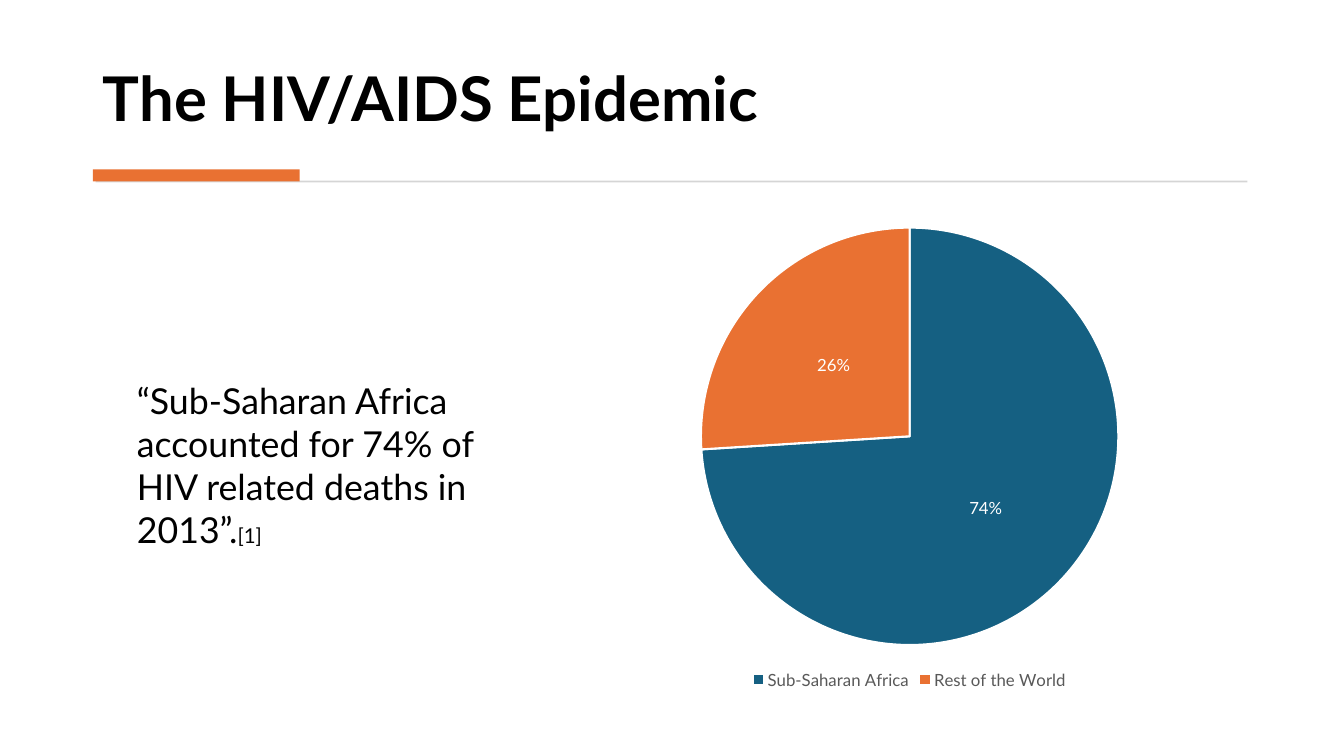
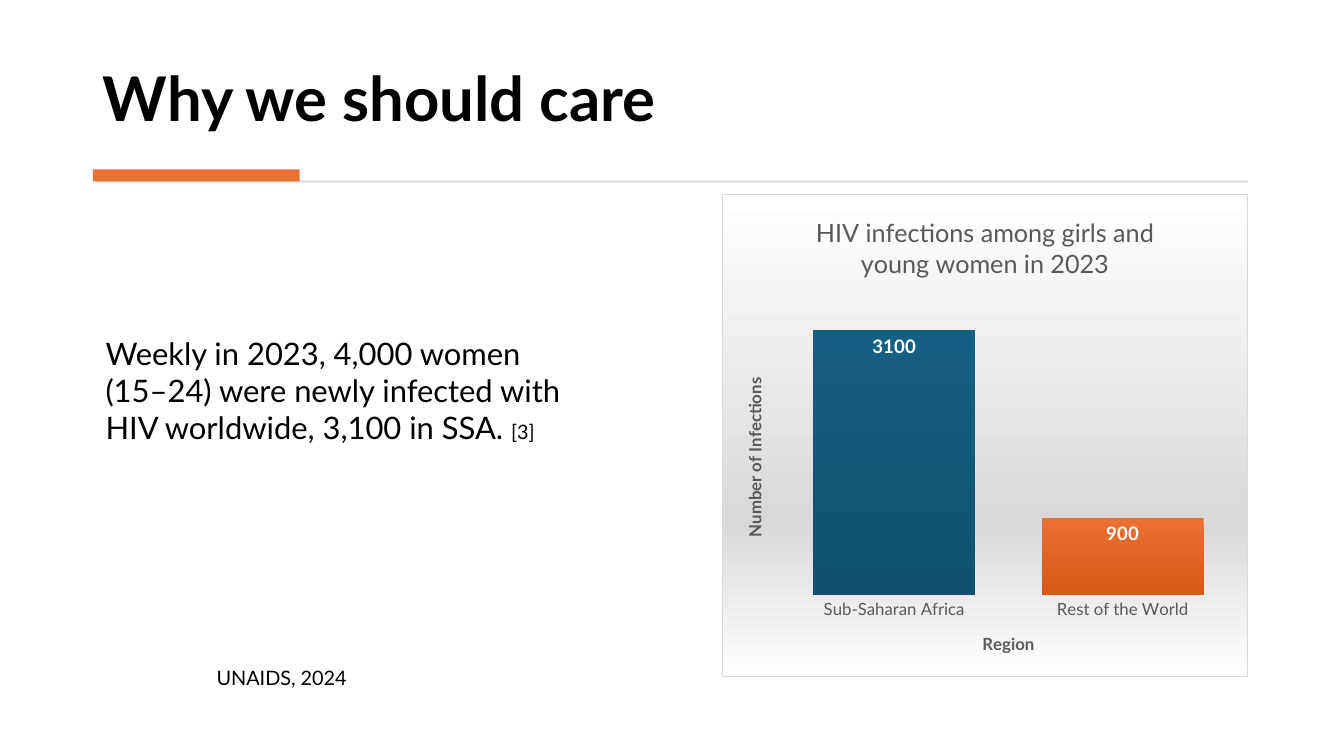
"""Build two slides on the HIV/AIDS epidemic, each with a statement and a chart."""
from dataclasses import dataclass

from lxml import etree
from pptx import Presentation
from pptx.chart.data import CategoryChartData
from pptx.dml.color import RGBColor
from pptx.enum.chart import XL_CHART_TYPE, XL_LABEL_POSITION, XL_LEGEND_POSITION, XL_TICK_MARK
from pptx.enum.shapes import MSO_SHAPE
from pptx.enum.text import MSO_ANCHOR, PP_ALIGN
from pptx.oxml import parse_xml
from pptx.oxml.ns import nsdecls, qn
from pptx.util import Cm, Pt

PIE = XL_CHART_TYPE.PIE
COLUMN = XL_CHART_TYPE.COLUMN_CLUSTERED
CENTER = XL_LABEL_POSITION.CENTER
INSIDE_END = XL_LABEL_POSITION.INSIDE_END
BOTTOM = XL_LEGEND_POSITION.BOTTOM
NO_TICK = XL_TICK_MARK.NONE
RECT = MSO_SHAPE.RECTANGLE
ANCHOR_BOTTOM = MSO_ANCHOR.BOTTOM
LEFT = PP_ALIGN.LEFT

FONT = "Lato"
COLORS = {
    "black": "000000", "white": "FFFFFF", "gray": "595959",
    "rule": "D5D5D5", "silver": "D9D9D9",
    "blue": "156082", "deep_blue": "12516D",
    "orange": "E97132", "deep_orange": "D75917",
}
REGIONS = ("Sub-Saharan Africa", "Rest of the World")
TITLE_ONLY = 5


@dataclass(frozen=True)
class Box:
    left: float
    top: float
    width: float
    height: float

    def lengths(self) -> tuple:
        return Cm(self.left), Cm(self.top), Cm(self.width), Cm(self.height)


@dataclass(frozen=True)
class Bar:
    box: Box
    color: str


TITLE_BOX = Box(2.34, 0.71, 29.18, 2.82)
BARS = (
    Bar(Box(2.41, 4.55, 29.03, 0.05), "rule"),
    Bar(Box(2.34, 4.27, 5.21, 0.3), "orange"),
)


def rgb(name: str) -> RGBColor:
    return RGBColor.from_string(COLORS[name])


def set_font(font, size: float, color: str = "black", bold: bool = False) -> None:
    font.name = FONT
    font.size = Pt(size)
    font.bold = bold
    font.color.rgb = rgb(color)


def write_text(tf, *runs: tuple, color: str = "black", bold: bool = False,
               align=None, after: float = 0, spacing: float | None = None) -> None:
    p = tf.paragraphs[0]
    p.alignment = align
    p.space_after = Pt(after)
    p.line_spacing = spacing
    for text, size in runs:
        r = p.add_run()
        r.text = text
        set_font(r.font, size, color, bold)


def add_text(slide, box: Box, *runs: tuple, after: float = 6) -> None:
    tf = slide.shapes.add_textbox(*box.lengths()).text_frame
    tf.word_wrap = True
    write_text(tf, *runs, align=LEFT, after=after)


def add_slide(prs, title: str):
    slide = prs.slides.add_slide(prs.slide_layouts[TITLE_ONLY])
    sp = slide.shapes.title
    sp.left, sp.top, sp.width, sp.height = TITLE_BOX.lengths()
    sp.text_frame.vertical_anchor = ANCHOR_BOTTOM
    write_text(sp.text_frame, (title, 44), bold=True, align=LEFT, spacing=0.9)
    for bar in BARS:
        sp = slide.shapes.add_shape(RECT, *bar.box.lengths())
        sp.shadow.inherit = False
        sp.fill.solid()
        sp.fill.fore_color.rgb = rgb(bar.color)
        sp.line.fill.background()
    return slide


def set_plot_layout(chart, x: float, y: float, w: float, h: float) -> None:
    plot_area = chart.element.find(".//" + qn("c:plotArea"))
    for old in plot_area.findall(qn("c:layout")):
        plot_area.remove(old)
    layout = parse_xml(f"<c:layout {nsdecls('c')}><c:manualLayout/></c:layout>")
    settings = {"layoutTarget": "inner", "xMode": "edge", "yMode": "edge",
                "x": x, "y": y, "w": w, "h": h}
    for tag, value in settings.items():
        etree.SubElement(layout[0], qn(f"c:{tag}")).set("val", str(value))
    plot_area.insert(0, layout)


def set_chart_background(chart) -> None:
    stops = "".join(
        f'<a:gs pos="{pos * 1000}"><a:srgbClr val="{COLORS[color]}"/></a:gs>'
        for pos, color in ((0, "white"), (68, "silver"), (100, "white")))
    sp_pr = parse_xml(
        f"<c:spPr {nsdecls('c', 'a')}><a:gradFill><a:gsLst>{stops}</a:gsLst>"
        '<a:lin ang="5400000" scaled="0"/></a:gradFill>'
        f'<a:ln w="{Pt(0.75)}"><a:solidFill><a:srgbClr val="{COLORS["silver"]}"/>'
        "</a:solidFill></a:ln></c:spPr>")
    chart.element.find(qn("c:chart")).addnext(sp_pr)


def add_chart(slide, kind, box: Box, values: tuple, number_format: str):
    data = CategoryChartData(number_format=number_format)
    data.categories = REGIONS
    data.add_series("Series 1", values)
    chart = slide.shapes.add_chart(kind, *box.lengths(), data).chart
    set_font(chart.font, 10)
    chart.has_title = False
    chart.has_legend = False
    return chart


def add_labels(plot, size: float, position, number_format: str, bold: bool = False) -> None:
    plot.has_data_labels = True
    labels = plot.data_labels
    labels.show_value = True
    labels.show_percentage = False
    labels.position = position
    labels.number_format = number_format
    labels.number_format_is_linked = False
    set_font(labels.font, size, "white", bold)


def add_pie(slide) -> None:
    chart = add_chart(slide, PIE, Box(15.19, 5.36, 15.47, 12.12), (0.74, 0.26), "0%")
    set_plot_layout(chart, 0.16, 0.03, 0.68, 0.87)
    plot = chart.plots[0]
    add_labels(plot, 12, CENTER, "0%")
    for i, color in enumerate(("blue", "orange")):
        fmt = plot.series[0].points[i].format
        fmt.fill.solid()
        fmt.fill.fore_color.rgb = rgb(color)
        fmt.line.color.rgb = rgb("white")
        fmt.line.width = Pt(1.5)
    chart.has_legend = True
    chart.legend.position = BOTTOM
    chart.legend.include_in_layout = False
    set_font(chart.legend.font, 12, "gray")


def add_columns(slide) -> None:
    chart = add_chart(slide, COLUMN, Box(18.19, 4.9, 13.26, 12.17), (3100, 900), "General")
    set_chart_background(chart)
    set_plot_layout(chart, 0.11, 0.21, 0.87, 0.62)
    chart.has_title = True
    write_text(chart.chart_title.text_frame,
               ("HIV infections among girls and young women in 2023", 18), color="gray")
    chart.chart_title.include_in_layout = False

    plot = chart.plots[0]
    plot.gap_width = 41
    plot.vary_by_categories = False
    add_labels(plot, 13.3, INSIDE_END, "General", bold=True)
    shades = (("blue", "deep_blue"), ("orange", "deep_orange"))
    for i, pair in enumerate(shades):
        fill = plot.series[0].points[i].format.fill
        fill.gradient()
        fill.gradient_angle = 270
        for stop, color in zip(fill.gradient_stops, pair):
            stop.color.rgb = rgb(color)

    cat, val = chart.category_axis, chart.value_axis
    for axis, title in ((cat, "Region"), (val, "Number of Infections")):
        write_text(axis.axis_title.text_frame, (title, 12), color="gray", bold=True)
    body_pr = val.axis_title.text_frame._txBody.bodyPr
    body_pr.set("rot", "-5400000")
    body_pr.set("vert", "horz")
    cat.major_tick_mark = NO_TICK
    cat.format.line.fill.background()
    set_font(cat.tick_labels.font, 12, "gray")
    val.minimum_scale = 0
    val.maximum_scale = 3500
    val.has_major_gridlines = False
    val.visible = False


def main() -> None:
    prs = Presentation()
    prs.slide_width, prs.slide_height = Cm(33.87), Cm(19.05)

    slide = add_slide(prs, "The HIV/AIDS Epidemic")
    add_pie(slide)
    add_text(slide, Box(3.2, 9.42, 10.39, 4.6),
             ("“Sub-Saharan Africa accounted for 74% of HIV related deaths in 2013”.", 25.5),
             ("[1]", 14.6), after=5.5)

    slide = add_slide(prs, "Why we should care")
    add_text(slide, Box(2.41, 8.3, 12.37, 3.2),
             ("Weekly in 2023, 4,000 women (15–24) were newly infected with HIV "
              "worldwide, 3,100 in SSA. ", 22.1),
             ("[3]", 14.2))
    add_text(slide, Box(5.21, 16.64, 4.62, 0.86), ("UNAIDS, 2024", 14.2))
    add_columns(slide)

    prs.save("out.pptx")


if __name__ == "__main__":
    main()
